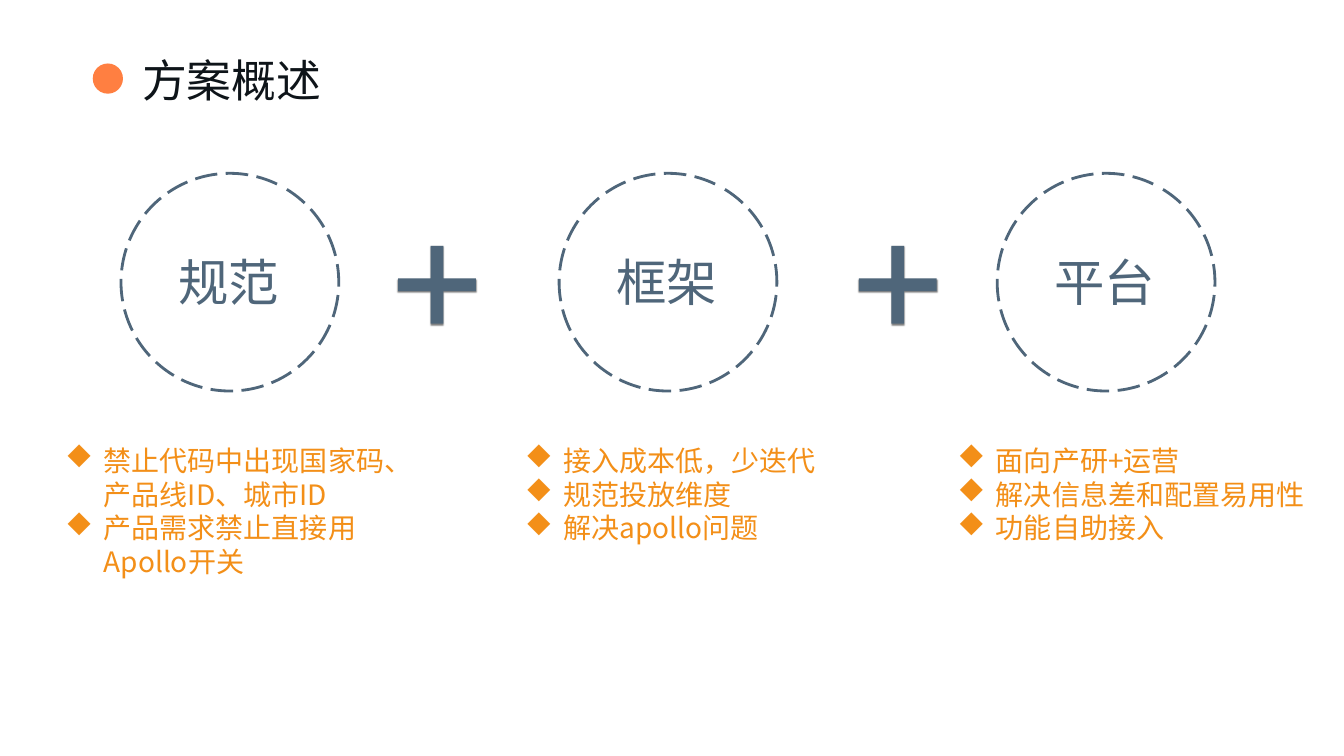
from lxml.etree import SubElement as sub
from pptx import Presentation
from pptx.dml.color import RGBColor
from pptx.enum.dml import MSO_LINE
from pptx.enum.shapes import MSO_SHAPE as SHAPE
from pptx.enum.text import MSO_ANCHOR, MSO_AUTO_SIZE as SIZE, PP_ALIGN
from pptx.oxml.ns import qn
from pptx.util import Inches, Pt

SANS = "Noto Sans CJK SC"
SLATE, AMBER, CORAL, INK = "4F667A", "F38F18", "FF7F41", "0E1419"
LEFT, PITCH, RING, TOP = 1.2, 4.345, 2.16, 1.72
PLUS = 1.05

# label, left and width of its list, list items
PARTS = [
    ("规范", 0.55, 3.43, ["禁止代码中出现国家码、产品线ID、城市ID",
                        "产品需求禁止直接用Apollo开关"]),
    ("框架", 5.11, 3.51, ["接入成本低，少迭代", "规范投放维度", "解决apollo问题"]),
    ("平台", 9.4, 3.66, ["面向产研+运营", "解决信息差和配置易用性", "功能自助接入"]),
]


def paint(target, color):
    """Give a fill a solid colour from a hex string."""
    target.solid()
    target.fore_color.rgb = RGBColor.from_string(color)


def style(para, size, color, face=SANS):
    """Set the font of a paragraph, for Latin and East Asian text alike."""
    font = para.font
    font.size, font.name = Pt(size), face
    paint(font.fill, color)
    sub(para._p.pPr.find(qn("a:defRPr")), qn("a:ea"), typeface=face)


def add_title(slide, text):
    title = slide.shapes.title
    title.left, title.top = Inches(1.31), Inches(0.44)
    title.width, title.height = Inches(11.1), Inches(0.69)
    frame = title.text_frame
    frame.text = text
    frame.vertical_anchor = MSO_ANCHOR.MIDDLE
    para = frame.paragraphs[0]
    para.alignment = PP_ALIGN.LEFT
    style(para, 32, INK, "Noto Sans CJK JP")


def add_form(slide, kind, x, y, size):
    """Add a square preset shape with no shadow."""
    form = slide.shapes.add_shape(kind, *map(Inches, (x, y, size, size)))
    form.shadow.inherit = False
    return form


def add_dot(slide):
    dot = add_form(slide, SHAPE.OVAL, 0.92, 0.63, 0.3)
    paint(dot.fill, CORAL)
    dot.line.fill.background()


def add_ring(slide, x):
    ring = add_form(slide, SHAPE.ARC, x, TOP, RING)
    ring.rotation = 90
    ring.adjustments[0], ring.adjustments[1] = 126.91, 123.39
    ring.fill.background()
    paint(ring.line.fill, SLATE)
    ring.line.width = Pt(2)
    ring.line.dash_style = MSO_LINE.LONG_DASH


def add_plus(slide, x):
    plus = add_form(slide, SHAPE.MATH_PLUS, x, 2.3, PLUS)
    plus.adjustments[0] = 0.12
    paint(plus.fill, SLATE)
    plus.line.fill.background()
    glow = sub(plus._element.spPr.find(qn("a:effectLst")), qn("a:outerShdw"),
               blurRad=str(Pt(1)), dist=str(Pt(1)), dir="5400000")
    shade = sub(glow, qn("a:srgbClr"), val="000000")
    sub(shade, qn("a:alpha"), val="50000")


def add_box(slide, x, y, w, h, wrap):
    box = slide.shapes.add_textbox(*map(Inches, (x, y, w, h)))
    frame = box.text_frame
    frame.word_wrap = wrap
    frame.auto_size = SIZE.SHAPE_TO_FIT_TEXT
    return frame


def add_label(slide, x, text):
    frame = add_box(slide, x + 0.47, 2.44, 1.21, 0.71, False)
    frame.text = text
    style(frame.paragraphs[0], 36, SLATE)


def add_list(slide, x, width, items):
    lines = 4 if len(items) == 2 else 3
    frame = add_box(slide, x, 4.35, width, 0.1 + lines / 3, True)
    frame.text = "\n".join(items)
    for para in frame.paragraphs:
        props = para._p.get_or_add_pPr()
        props.set("marL", str(Inches(0.38)))
        props.set("indent", str(-Inches(0.38)))
        sub(props, qn("a:buFont"), typeface="Wingdings", charset="2")
        sub(props, qn("a:buChar"), char="u")  # a diamond in Wingdings
        style(para, 20, AMBER)


def main():
    deck = Presentation()
    deck.slide_width, deck.slide_height = Inches(13.33), Inches(7.5)
    slide = deck.slides.add_slide(deck.slide_layouts[5])
    add_dot(slide)
    add_title(slide, "方案概述")
    for col, (label, x, width, items) in enumerate(PARTS):
        left = LEFT + col * PITCH
        add_ring(slide, left)
        add_label(slide, left, label)
        add_list(slide, x, width, items)
    for x in (3.81, 8.38):
        add_plus(slide, x)
    deck.save("out.pptx")


if __name__ == "__main__":
    main()
